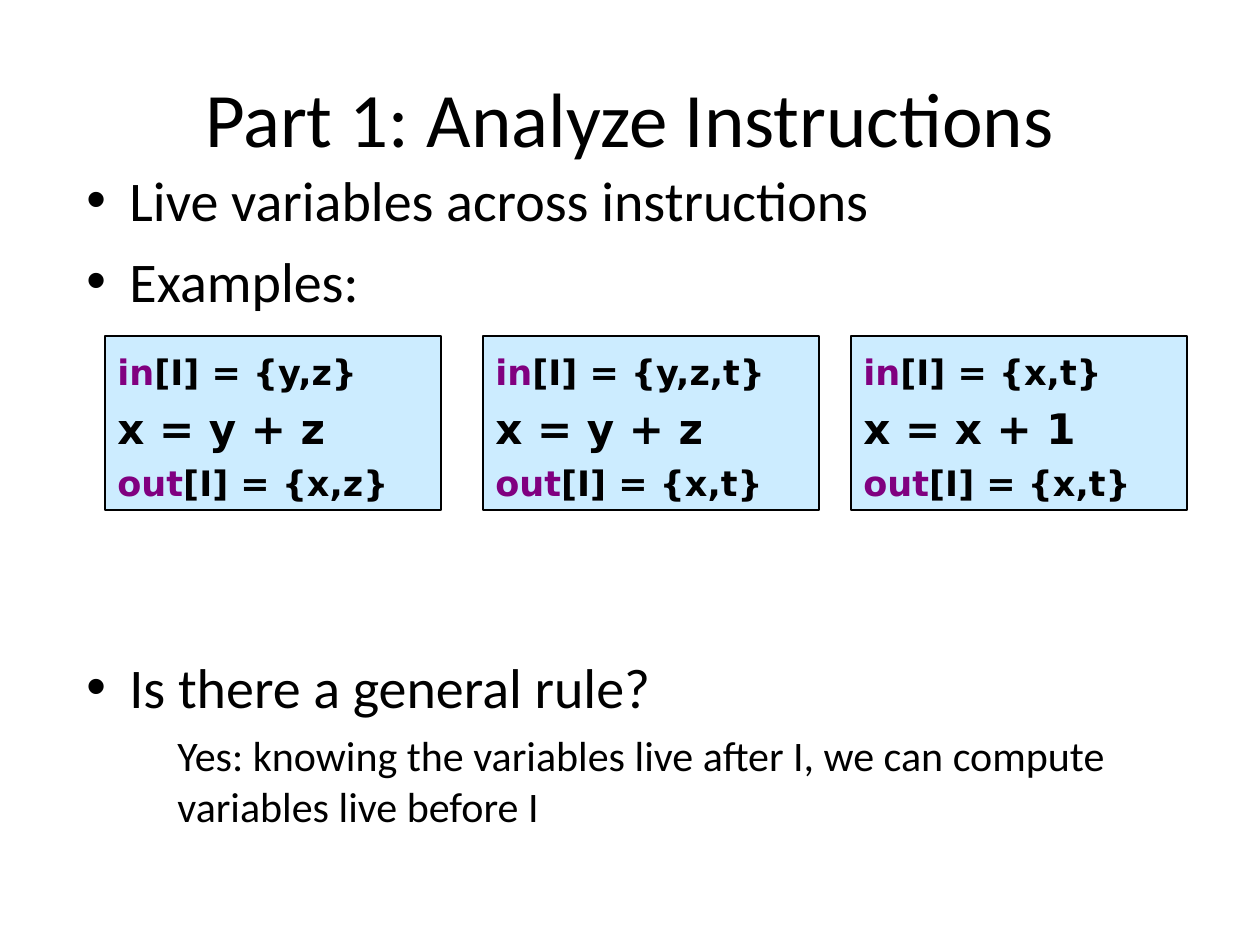
from dataclasses import dataclass

from lxml import etree
from pptx import Presentation
from pptx import util as u
from pptx.dml.color import RGBColor
from pptx.enum import shapes, text
from pptx.oxml.ns import qn

SCALE = 914400 // 126


@dataclass(frozen=True)
class Theme:
    ink: str = "000000"
    key: str = "800080"
    fill: str = "CCECFF"
    sans: str = "Calibri"
    code: str = "DejaVu Sans"
    title: int = 44
    body: int = 32
    sub: int = 24
    stmt: int = 24
    sets: int = 20


T = Theme()


def px(n):
    return u.Emu(n * SCALE)


def rgb(hue):
    return RGBColor.from_string(hue)


def frame(shape, anchor=text.MSO_ANCHOR.TOP):
    tf = shape.text_frame
    tf.word_wrap = True
    tf.vertical_anchor = anchor
    return tf


def area(slide, box, **fmt):
    return frame(slide.shapes.add_textbox(*map(px, box)), **fmt)


def write(tf, *runs, size, font=T.sans, bold=False, align=text.PP_ALIGN.LEFT,
          before=0, line=1.0, left=0, hang=0, bullet=None):
    para = tf.paragraphs[0]
    if para.runs:
        para = tf.add_paragraph()
    para.alignment = align
    para.space_before = u.Pt(before)
    para.line_spacing = line
    props = para._p.get_or_add_pPr()
    props.set("marL", str(px(left)))
    props.set("indent", str(px(-hang)))
    if bullet:
        etree.SubElement(props, qn("a:buFont")).set("typeface", "Arial")
        etree.SubElement(props, qn("a:buChar")).set("char", bullet)
    for words, hue in runs:
        run = para.add_run()
        run.text = words
        run.font.size = u.Pt(size)
        run.font.name = font
        run.font.bold = bold
        run.font.color.rgb = rgb(hue)


def title(slide, box, words):
    tf = area(slide, box, anchor=text.MSO_ANCHOR.MIDDLE)
    write(tf, (words, T.ink), size=T.title, align=text.PP_ALIGN.CENTER)


def points(slide, box, items, note=None):
    tf = area(slide, box)
    for item in items:
        write(tf, (item, T.ink), size=T.body, before=8,
              left=54, hang=43, bullet="•")
    if note:
        write(tf, (note, T.ink), size=T.sub, before=6, left=102)


def example(slide, box, live, stmt, after):
    card = slide.shapes.add_shape(shapes.MSO_SHAPE.RECTANGLE, *map(px, box))
    card.shadow.inherit = False
    card.fill.solid()
    card.fill.fore_color.rgb = rgb(T.fill)
    card.line.color.rgb = rgb(T.ink)
    card.line.width = u.Pt(0.75)
    tf = frame(card)
    look = dict(font=T.code, bold=True, line=1.2)
    write(tf, ("in", T.key), (f"[I] = {live}", T.ink), size=T.sets, **look)
    write(tf, (stmt, T.ink), size=T.stmt, **look)
    write(tf, ("out", T.key), (f"[I] = {after}", T.ink), size=T.sets, **look)


def main():
    deck = Presentation()
    deck.slide_width, deck.slide_height = px(1260), px(945)
    slide = deck.slides.add_slide(deck.slide_layouts[6])
    title(slide, (63, 38, 1134, 158), "Part 1: Analyze Instructions")
    points(slide, (63, 159, 1155, 165),
           ["Live variables across instructions", "Examples:"])
    points(slide, (63, 646, 1155, 215), ["Is there a general rule?"],
           "Yes: knowing the variables live after I, "
           "we can compute variables live before I")
    cases = [
        (105, "{y,z}", "x = y + z", "{x,z}"),
        (483, "{y,z,t}", "x = y + z", "{x,t}"),
        (851, "{x,t}", "x = x + 1", "{x,t}"),
    ]
    for left, *lines in cases:
        example(slide, (left, 336, 336, 174), *lines)
    deck.save("out.pptx")


if __name__ == "__main__":
    main()
